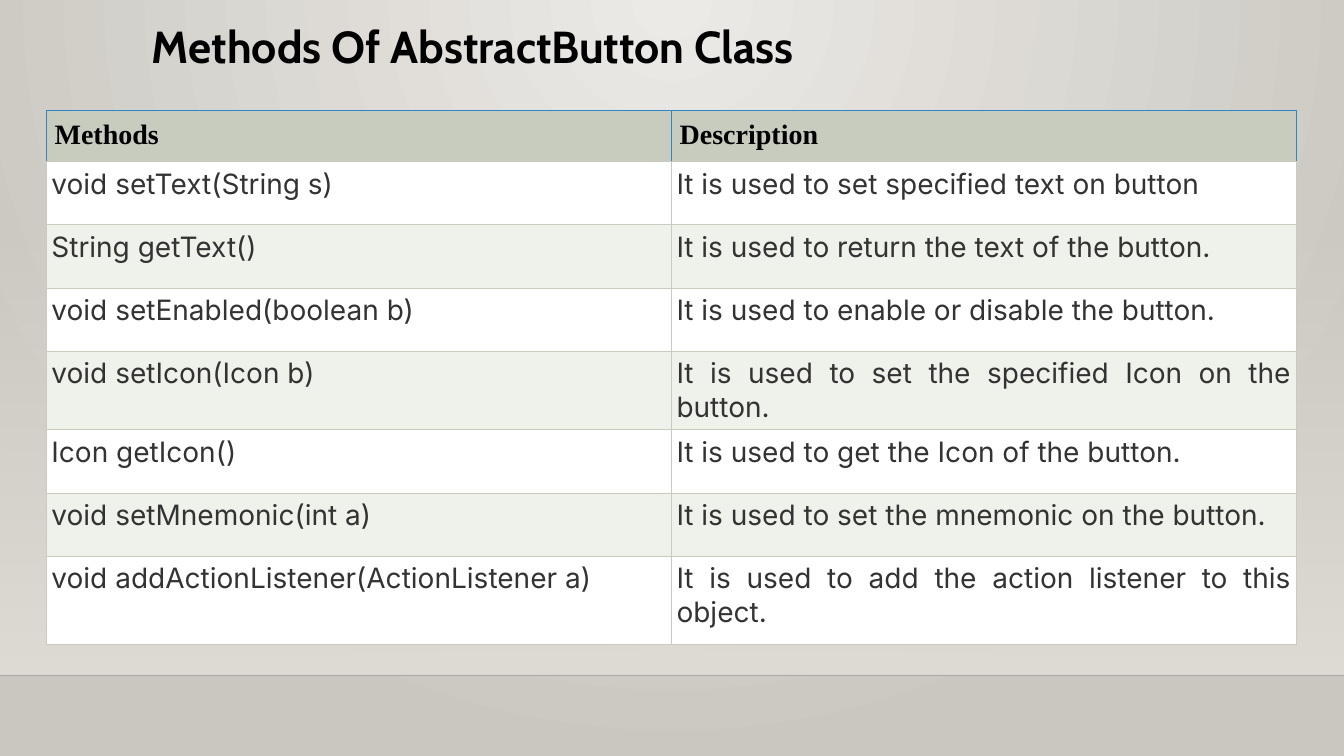
from lxml import etree
from pptx import Presentation
from pptx.dml.color import RGBColor
from pptx.enum.shapes import MSO_CONNECTOR, MSO_SHAPE
from pptx.enum.text import MSO_ANCHOR, PP_ALIGN
from pptx.oxml.ns import qn
from pptx.util import Pt

RECT, STRAIGHT = MSO_SHAPE.RECTANGLE, MSO_CONNECTOR.STRAIGHT
TOP, JUSTIFY, LEFT = MSO_ANCHOR.TOP, PP_ALIGN.JUSTIFY, PP_ALIGN.LEFT
WIDTH, HEIGHT = 960, 540
SAGE, BLUE = "C7CCBE", "3085C7"
BANDS = ("FFFFFF", "EFF1EB")

TITLE_FONT = {"name": "Cabin", "size": Pt(32), "bold": True}
HEAD_FONT = {"name": "Times New Roman", "size": Pt(20), "bold": True}
BODY_FONT = {"name": "Inter", "size": Pt(20), "bold": False}

METHODS = [
    ("Methods", "Description"),
    ("void setText(String s)", "It is used to set specified text on button"),
    ("String getText()", "It is used to return the text of the button."),
    ("void setEnabled(boolean b)", "It is used to enable or disable the button."),
    ("void setIcon(Icon b)", "It is used to set the specified Icon on the button."),
    ("Icon getIcon()", "It is used to get the Icon of the button."),
    ("void setMnemonic(int a)", "It is used to set the mnemonic on the button."),
    ("void addActionListener(ActionListener a)",
     "It is used to add the action listener to this object."),
]


def color(hex_string):
    return RGBColor.from_string(hex_string)


def add(parent, tag, **attrs):
    return etree.SubElement(parent, qn(tag), {k: str(v) for k, v in attrs.items()})


def add_solid(parent, hex_string, alpha=100):
    """Append a colour, with its opacity in percent."""
    clr = add(parent, "a:srgbClr", val=hex_string)
    if alpha < 100:
        add(clr, "a:alpha", val=alpha * 1000)


def set_gradient(fill, root, stops):
    """Give fill the stops (position, colour, opacity); return its element."""
    fill.gradient()
    grad = root.find(".//" + qn("a:gradFill"))
    for child in list(grad):
        grad.remove(child)
    stop_list = add(grad, "a:gsLst")
    for pos, hex_string, alpha in stops:
        add_solid(add(stop_list, "a:gs", pos=pos * 1000), hex_string, alpha)
    return grad


def write(p, text, font, hex_string, align=LEFT):
    p.alignment = align
    r = p.add_run()
    r.text = text
    for name, value in font.items():
        setattr(r.font, name, value)
    r.font.color.rgb = color(hex_string)


def set_borders(cell, sides):
    tc_pr = cell._tc.get_or_add_tcPr()
    for i, (side, hex_string) in enumerate(sides.items()):
        ln = etree.Element(qn("a:ln" + side), w=str(Pt(0.75)))
        add_solid(add(ln, "a:solidFill"), hex_string)
        tc_pr.insert(i, ln)  # borders come before the fill


def draw_backdrop(s, x, y, w, h):
    # Radial glow from the top centre
    grad = set_gradient(s.background.fill, s._element,
                        [(0, "ECEAE7", 100), (100, "CAC7C1", 100)])
    glow = add(grad, "a:path", path="circle")
    add(glow, "a:fillToRect", l=43000, t=0, r=43000, b=100000)

    # Wall shading that fades in downwards
    wall = s.shapes.add_shape(RECT, Pt(x), Pt(y), Pt(w), Pt(h))
    wall.shadow.inherit = False
    wall.line.fill.background()
    grad = set_gradient(wall.fill, wall._element,
                        [(0, "DFDBD5", 0), (100, "DFDBD5", 100)])
    add(grad, "a:lin", ang=90 * 60000, scaled=0)

    # Floor line
    floor = s.shapes.add_connector(STRAIGHT, Pt(x), Pt(y + h), Pt(x + w), Pt(y + h))
    floor.line.width = Pt(1)
    floor.line.color.rgb = color("000001")
    add(floor._element.find(".//" + qn("a:srgbClr")), "a:alpha", val=20000)
    add(floor._element.spPr, "a:effectLst")


def draw_title(s, x, y, w, h):
    tf = s.shapes.add_textbox(Pt(x), Pt(y), Pt(w), Pt(h)).text_frame
    tf.word_wrap = True
    tf.vertical_anchor = TOP
    p = tf.paragraphs[0]
    p.line_spacing = 0.9
    write(p, "Methods Of AbstractButton Class", TITLE_FONT, "000000")


def draw_table(s, x, y, w, heights):
    frame = s.shapes.add_table(len(METHODS), 2, Pt(x), Pt(y), Pt(w), Pt(sum(heights)))
    table = frame.table
    table.horz_banding = False
    for column in table.columns:
        column.width = Pt(w / 2)
    for i, (texts, height) in enumerate(zip(METHODS, heights)):
        table.rows[i].height = Pt(height)
        head = i == 0
        edge = BLUE if head else SAGE
        top = SAGE if i == 1 else edge
        for cell, text in zip(table.rows[i].cells, texts):
            for side in ("left", "right", "top", "bottom"):
                setattr(cell, "margin_" + side, Pt(6 if head else 3.75))
            cell.fill.solid()
            cell.fill.fore_color.rgb = color(SAGE if head else BANDS[(i - 1) % 2])
            set_borders(cell, {"L": edge, "R": edge, "T": top, "B": SAGE})
            p = cell.text_frame.paragraphs[0]
            if head:
                write(p, text, HEAD_FONT, "000000")
            else:
                write(p, text, BODY_FONT, "333333", JUSTIFY)


def main():
    prs = Presentation()
    prs.slide_width, prs.slide_height = Pt(WIDTH), Pt(HEIGHT)
    s = prs.slides.add_slide(prs.slide_layouts[6])
    draw_backdrop(s, 0, 159, WIDTH, 323.5)
    draw_table(s, 33, 79, 893, [36.5] + [45.2] * 6 + [62.6])
    draw_title(s, 101.5, 14.4, 756, 52)
    prs.save("out.pptx")


if __name__ == "__main__":
    main()
